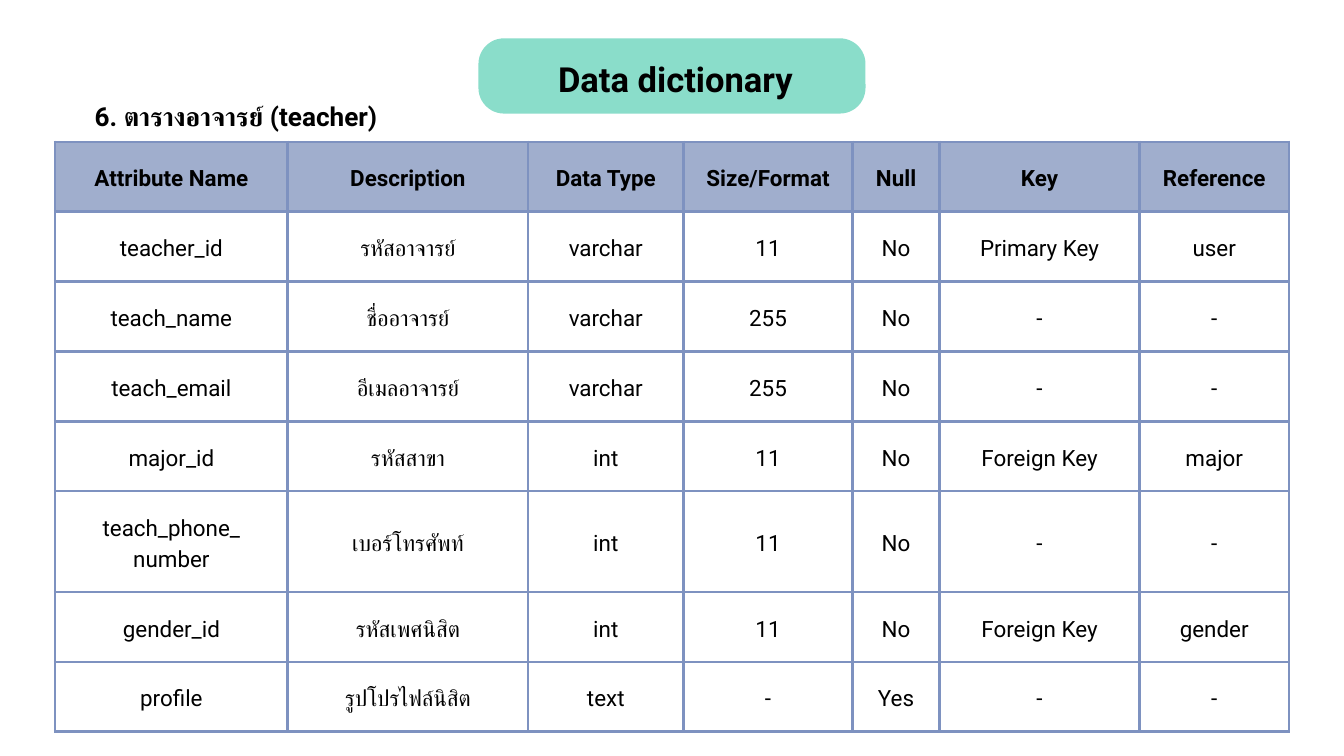
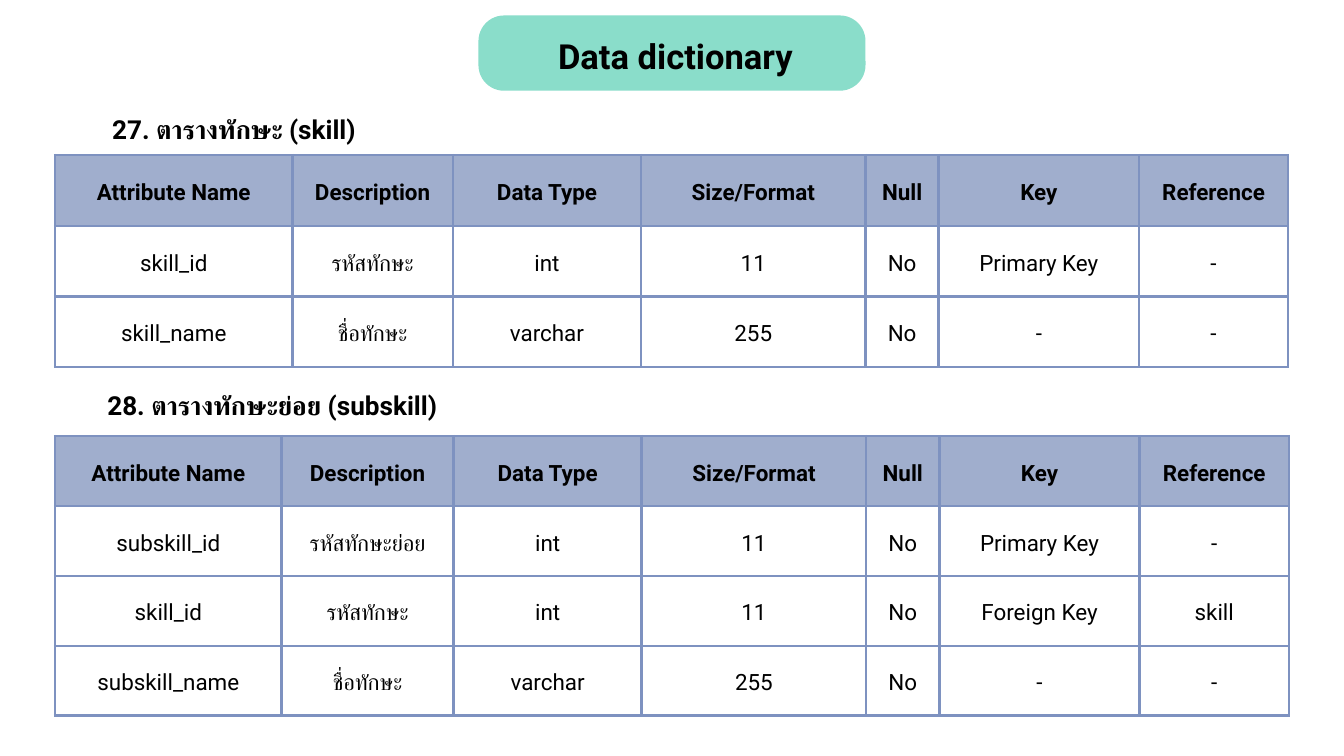
"""Build two data dictionary slides with attribute tables."""
from lxml import etree
from pptx import Presentation
from pptx.dml.color import RGBColor
from pptx.enum.shapes import MSO_SHAPE
from pptx.enum.text import MSO_ANCHOR, MSO_AUTO_SIZE, PP_ALIGN
from pptx.oxml.ns import qn
from pptx.util import Inches, Pt

ROUNDED = MSO_SHAPE.ROUNDED_RECTANGLE
MIDDLE, TOP = MSO_ANCHOR.MIDDLE, MSO_ANCHOR.TOP
GROW = MSO_AUTO_SIZE.SHAPE_TO_FIT_TEXT
CENTER = PP_ALIGN.CENTER

FONT = "Roboto"
BLACK = RGBColor(0x00, 0x00, 0x00)
MINT = RGBColor(0x8A, 0xDD, 0xCA)
HEADER_BLUE = RGBColor(0xA0, 0xAE, 0xCD)
BORDER_BLUE = RGBColor(0x7E, 0x92, 0xC0)

TABLE_LEFT = 0.82
BORDER_WIDTH = Pt(3)
TALL_ROW = 1.5
HEADERS = ["Attribute Name", "Description", "Data Type", "Size/Format", "Null", "Key", "Reference"]

TEACHER_ROWS = [
    ["teacher_id", "รหัสอาจารย์", "varchar", "11", "No", "Primary Key", "user"],
    ["teach_name", "ชื่ออาจารย์", "varchar", "255", "No", "-", "-"],
    ["teach_email", "อีเมลอาจารย์", "varchar", "255", "No", "-", "-"],
    ["major_id", "รหัสสาขา", "int", "11", "No", "Foreign Key", "major"],
    ["teach_phone_\nnumber", "เบอร์โทรศัพท์", "int", "11", "No", "-", "-"],
    ["gender_id", "รหัสเพศนิสิต", "int", "11", "No", "Foreign Key", "gender"],
    ["profile", "รูปโปรไฟล์นิสิต", "text", "-", "Yes", "-", "-"],
]
SKILL_ROWS = [
    ["skill_id", "รหัสทักษะ", "int", "11", "No", "Primary Key", "-"],
    ["skill_name", "ชื่อทักษะ", "varchar", "255", "No", "-", "-"],
]
SUBSKILL_ROWS = [
    ["subskill_id", "รหัสทักษะย่อย", "int", "11", "No", "Primary Key", "-"],
    ["skill_id", "รหัสทักษะ", "int", "11", "No", "Foreign Key", "skill"],
    ["subskill_name", "ชื่อทักษะ", "varchar", "255", "No", "-", "-"],
]


def write_text(frame, text, size=24, bold=False, spacing=33.6):
    """Fill a text frame with centred paragraphs, one per line of text."""
    frame.word_wrap = True
    for index, line in enumerate(text.split("\n")):
        para = frame.add_paragraph() if index else frame.paragraphs[0]
        para.alignment = CENTER
        para.line_spacing = Pt(spacing)
        para.space_before = Pt(0)
        span = para.add_run()
        span.text = line
        span.font.size = Pt(size)
        span.font.bold = bold
        span.font.color.rgb = BLACK
        span.font.name = FONT
        properties = span._r.get_or_add_rPr()
        etree.SubElement(properties, qn("a:cs"), typeface=FONT)


def add_borders(cell):
    """Draw a solid line on all four sides of a table cell."""
    properties = cell._tc.get_or_add_tcPr()
    for side in ("a:lnL", "a:lnR", "a:lnT", "a:lnB"):
        line = etree.SubElement(properties, qn(side), w=str(BORDER_WIDTH))
        fill = etree.SubElement(line, qn("a:solidFill"))
        etree.SubElement(fill, qn("a:srgbClr"), val=str(BORDER_BLUE))


class DictionaryDeck:
    """Hold the deck, its style and the current page."""

    def __init__(self):
        """Start an empty deck of 20 by 11.25 inches."""
        self.deck = Presentation()
        self.deck.slide_width = Inches(20)
        self.deck.slide_height = Inches(11.25)
        self.page = None

    def add_page(self, badge_top):
        """Add a page with the title on a rounded badge."""
        self.page = self.deck.slides.add_slide(self.deck.slide_layouts[5])
        badge = self.page.shapes.add_shape(
            ROUNDED, Inches(7.12), Inches(badge_top), Inches(5.76), Inches(1.12))
        badge.adjustments[0] = 0.34
        badge.shadow.inherit = False
        badge.fill.solid()
        badge.fill.fore_color.rgb = MINT
        badge.line.fill.background()
        title = self.page.shapes.title
        title.element.addprevious(badge.element)
        self.place(title, 8.03, badge_top + 0.19, 4.04, 0.67)
        write_text(title.text_frame, "Data dictionary", size=37, bold=True, spacing=51.7)

    def place(self, box, left, top, width, height):
        """Position a text shape and clear its insets."""
        box.left, box.top = Inches(left), Inches(top)
        box.width, box.height = Inches(width), Inches(height)
        frame = box.text_frame
        frame.margin_left = frame.margin_right = frame.margin_top = frame.margin_bottom = 0
        frame.vertical_anchor = TOP
        frame.auto_size = GROW

    def add_caption(self, text, left, top, width=6.14):
        """Add the bold heading above a table."""
        box = self.page.shapes.add_textbox(0, 0, 0, 0)
        self.place(box, left, top, width, 0.53)
        write_text(box.text_frame, text, size=28, bold=True, spacing=39.2)

    def add_attributes(self, top, widths, rows, row_height=1.04):
        """Add an attribute table with a shaded header row."""
        lines = [HEADERS] + rows
        heights = [TALL_ROW if "\n" in row[0] else row_height for row in lines]
        table = self.page.shapes.add_table(
            len(lines), len(HEADERS), Inches(TABLE_LEFT), Inches(top),
            Inches(sum(widths)), Inches(sum(heights))).table
        table.first_row = table.horz_banding = False
        for column, width in zip(table.columns, widths):
            column.width = Inches(width)
        for row, height, texts in zip(table.rows, heights, lines):
            row.height = Inches(height)
            for cell, text in zip(row.cells, texts):
                self.format_cell(cell, text, header=texts is HEADERS)

    def format_cell(self, cell, text, header):
        """Write and style one table cell."""
        cell.margin_left = cell.margin_right = Inches(0.21)
        cell.margin_top = cell.margin_bottom = Inches(0.21)
        cell.vertical_anchor = MIDDLE
        add_borders(cell)
        if header:
            cell.fill.solid()
            cell.fill.fore_color.rgb = HEADER_BLUE
        else:
            cell.fill.background()
        write_text(cell.text_frame, text, bold=header)


def main():
    """Build both pages and save the deck."""
    dictionary = DictionaryDeck()

    dictionary.add_page(0.57)
    dictionary.add_attributes(2.11, [3.46, 3.58, 2.31, 2.52, 1.29, 2.98, 2.22], TEACHER_ROWS)
    dictionary.add_caption("6. ตารางอาจารย์ (teacher)", 1.2, 1.41, width=4.62)

    dictionary.add_page(0.23)
    shared_widths = [2.8, 3.34, 1.09, 2.98, 2.22]
    dictionary.add_attributes(2.31, [3.53, 2.39] + shared_widths, SKILL_ROWS, row_height=1.05)
    dictionary.add_caption("27. ตารางทักษะ (skill)", 0.41, 1.61)
    dictionary.add_attributes(6.49, [3.37, 2.56] + shared_widths, SUBSKILL_ROWS)
    dictionary.add_caption("28. ตารางทักษะย่อย (subskill)", 0.98, 5.72)

    dictionary.deck.save("out.pptx")


if __name__ == "__main__":
    main()
